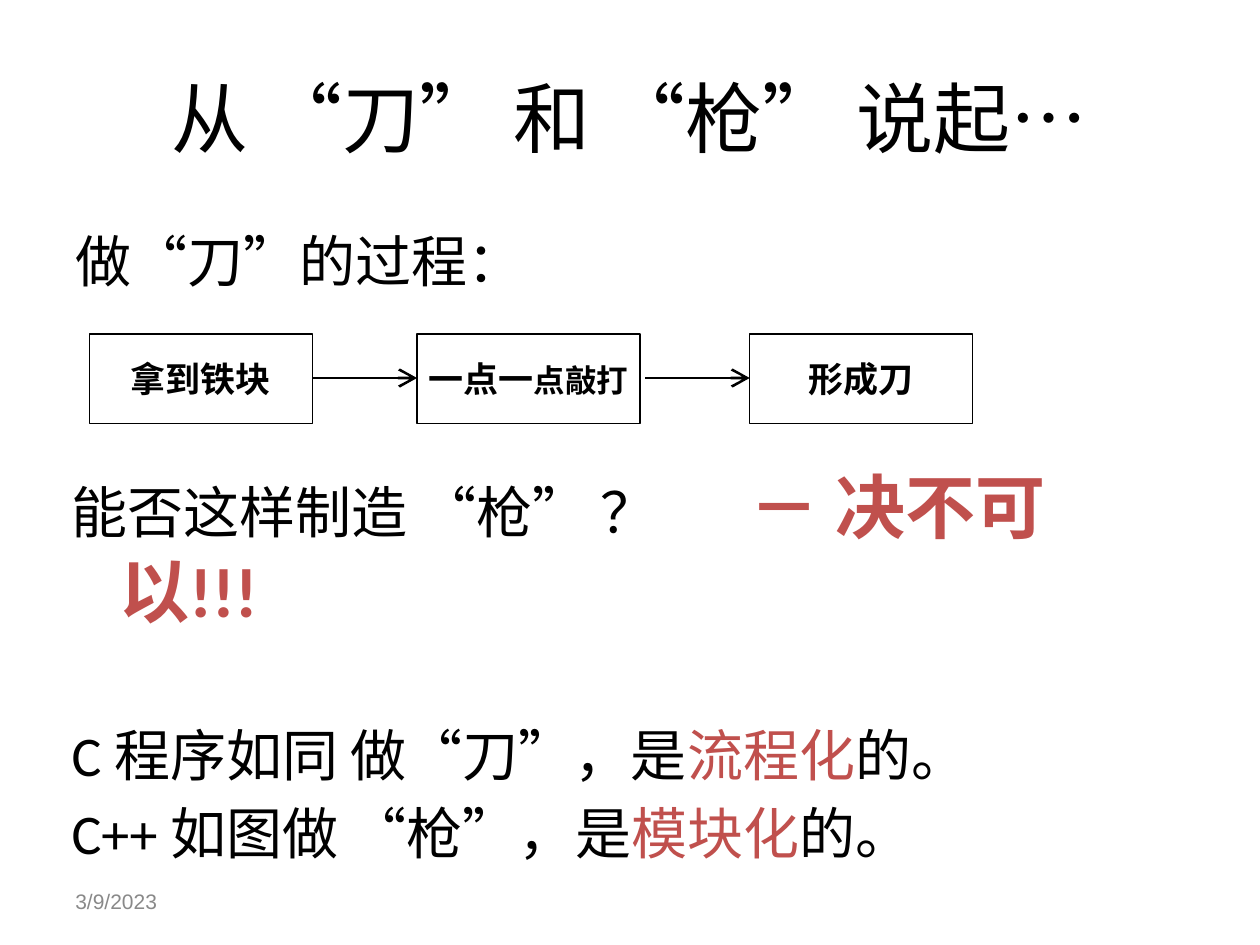
from dataclasses import dataclass

from lxml.etree import SubElement
from pptx import Presentation
from pptx.dml.color import RGBColor
from pptx.enum.shapes import MSO_CONNECTOR, MSO_SHAPE
from pptx.enum.text import MSO_ANCHOR, PP_ALIGN
from pptx.oxml.ns import qn
from pptx.util import Inches, Pt


@dataclass(frozen=True)
class Theme:
    ink: RGBColor = RGBColor(0x00, 0x00, 0x00)
    red: RGBColor = RGBColor(0xC0, 0x50, 0x4D)
    gray: RGBColor = RGBColor(0x89, 0x89, 0x89)
    head: int = 44
    loud: int = 40
    body: int = 32
    step: int = 20
    small: int = 18
    date: int = 12
    main: str = "Calibri"
    side: str = "Arial"


THEME = Theme()


def style(para, size, face=THEME.main, color=THEME.ink, bold=False):
    font = para.font
    font.size = Pt(size)
    font.name = face
    font.bold = bold
    font.color.rgb = color


def add_run(para, text, color=None, size=None, bold=None):
    run = para.add_run()
    run.text = text
    if color is not None:
        run.font.color.rgb = color
    if size:
        run.font.size = Pt(size)
    if bold:
        run.font.bold = True


def hang(para):
    props = para._p.get_or_add_pPr()
    props.set("marL", str(Inches(0.38)))
    props.set("indent", str(-Inches(0.38)))
    props.set("defTabSz", str(Inches(1)))


def add_box(slide, left, top, width, height, anchor=MSO_ANCHOR.TOP):
    box = slide.shapes.add_textbox(
        Inches(left), Inches(top), Inches(width), Inches(height))
    frame = box.text_frame
    frame.word_wrap = True
    frame.vertical_anchor = anchor
    return frame


def add_step(slide, left, parts):
    box = slide.shapes.add_shape(
        MSO_SHAPE.RECTANGLE, Inches(left), Inches(2.65), Inches(1.77), Inches(0.71))
    box.shadow.inherit = False
    box.fill.background()
    box.line.color.rgb = THEME.ink
    box.line.width = Pt(0.75)
    frame = box.text_frame
    frame.word_wrap = False
    frame.vertical_anchor = MSO_ANCHOR.MIDDLE
    para = frame.paragraphs[0]
    para.alignment = PP_ALIGN.CENTER
    style(para, THEME.step, THEME.side, bold=True)
    for text, size in parts:
        add_run(para, text, size=size)


def add_arrow(slide, end):
    line = slide.shapes.add_connector(
        MSO_CONNECTOR.STRAIGHT, Inches(end - 0.83), Inches(3), Inches(end), Inches(3))
    line.line.color.rgb = THEME.ink
    line.line.width = Pt(1.5)
    SubElement(line.line._get_or_add_ln(), qn("a:tailEnd"),
               type="arrow", w="lg", len="lg")
    SubElement(line._element.spPr, qn("a:effectLst"))


def add_flow(slide):
    steps = [
        (0.71, [("拿到铁块", None)]),
        (3.31, [("一点一", None), ("点敲打", THEME.small)]),
        (5.95, [("形成刀", None)]),
    ]
    for index, (left, parts) in enumerate(steps):
        add_step(slide, left, parts)
        if index:
            add_arrow(slide, left)


def add_points(slide):
    frame = add_box(slide, 0.47, 3.63, 9, 0.74)
    rows = [
        (0, [("能否这样制造 “枪” ？ \t",),
             ("－ 决不可以!!!", THEME.red, THEME.loud, True)]),
        (51, [("C 程序如同 做“刀”，是",), ("流程化", THEME.red), ("的。",)]),
        (6, [("C++ 如图做 “枪”，是",), ("模块化", THEME.red), ("的。",)]),
    ]
    for index, (gap, parts) in enumerate(rows):
        para = frame.add_paragraph() if index else frame.paragraphs[0]
        hang(para)
        para.space_before = Pt(gap)
        style(para, THEME.body)
        for part in parts:
            add_run(para, *part)


def main():
    deck = Presentation()
    deck.slide_width = Inches(10)
    deck.slide_height = Inches(7.5)
    slide = deck.slides.add_slide(deck.slide_layouts[6])

    title = add_box(slide, 0.5, 0.3, 9, 1.25, MSO_ANCHOR.MIDDLE).paragraphs[0]
    title.alignment = PP_ALIGN.CENTER
    style(title, THEME.head)
    add_run(title, "从 “刀” 和 “枪” 说起…")

    lead = add_box(slide, 0.5, 1.75, 9, 0.74).paragraphs[0]
    hang(lead)
    style(lead, THEME.body)
    add_run(lead, "做“刀”的过程：")

    add_flow(slide)
    add_points(slide)

    date = add_box(slide, 0.5, 6.95, 2.33, 0.4, MSO_ANCHOR.MIDDLE).paragraphs[0]
    style(date, THEME.date, THEME.side, THEME.gray)
    add_run(date, "3/9/2023")

    deck.save("out.pptx")


if __name__ == "__main__":
    main()
